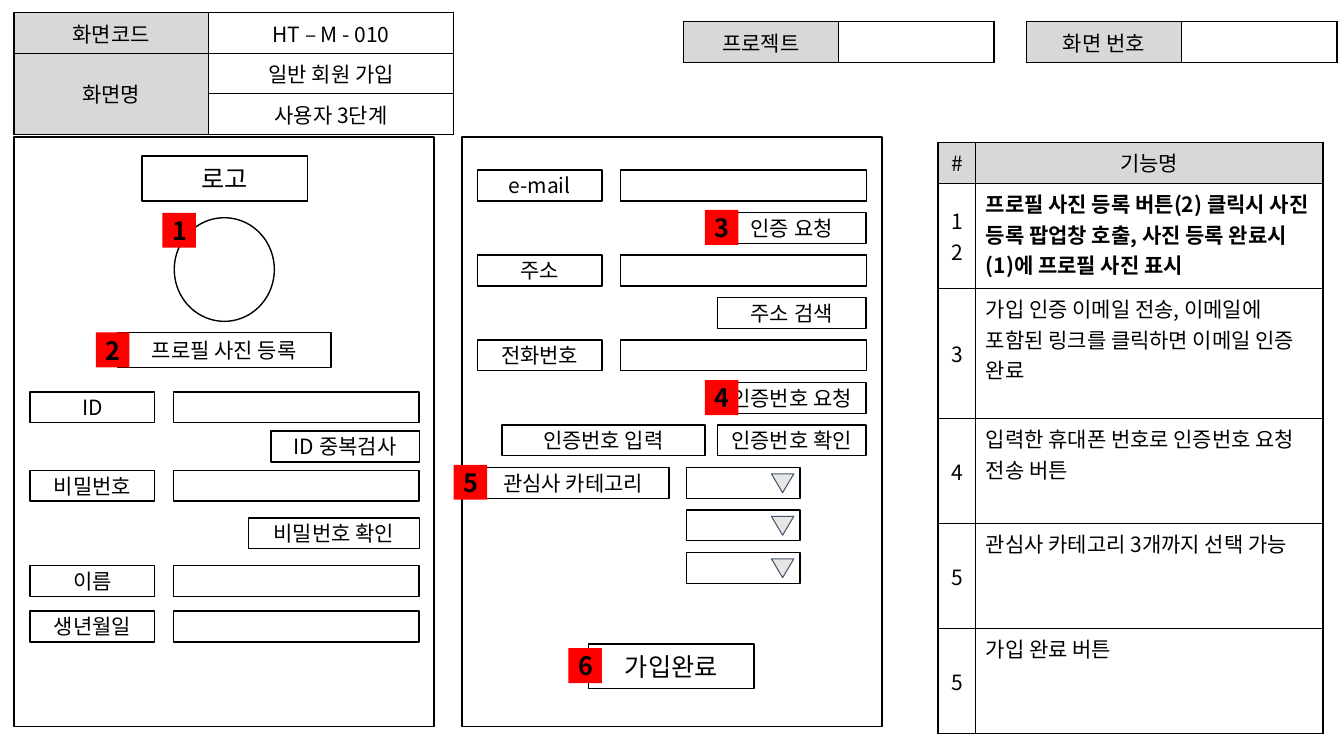
import pptx
import pptx.dml.color
import pptx.enum.shapes
import pptx.enum.text
import pptx.oxml.ns
import pptx.util
import lxml.etree

Pt = pptx.util.Pt
RGBColor = pptx.dml.color.RGBColor
Shape = pptx.enum.shapes.MSO_SHAPE
Align = pptx.enum.text.PP_ALIGN
Anchor = pptx.enum.text.MSO_ANCHOR
qn = pptx.oxml.ns.qn

BLACK = RGBColor(0x00, 0x00, 0x00)
WHITE = RGBColor(0xFF, 0xFF, 0xFF)
GRAY = RGBColor(0xD8, 0xD8, 0xD8)
RED = RGBColor(0xFF, 0x00, 0x00)
ARROW_FILL = RGBColor(0xE7, 0xE6, 0xE6)
ARROW_LINE = RGBColor(0x44, 0x54, 0x6A)


class Wireframe:
    """Style and current page of a screen specification."""

    font = "Noto Sans CJK KR"
    body, title = 15, 18
    row_height = 22

    def __init__(self, page):
        self.page = page

    def add_text(self, frame, text, size=body, bold=False, align=Align.CENTER):
        for index, line in enumerate(text.split("\n")):
            para = frame.add_paragraph() if index else frame.paragraphs[0]
            para.alignment = align
            span = para.add_run()
            span.text = line
            style = {"name": self.font, "size": Pt(size), "bold": bold}
            for name, value in style.items():
                setattr(span.font, name, value)
            span.font.color.rgb = BLACK
            east_asian = lxml.etree.SubElement(span.font._element, qn("a:ea"))
            east_asian.set("typeface", self.font)

    def box(self, left, top, width, height=row_height, text="", size=body, bold=False,
            kind=Shape.RECTANGLE, fill=WHITE, line=BLACK, weight=1):
        shape = self.page.shapes.add_shape(kind, Pt(left), Pt(top), Pt(width), Pt(height))
        shape.shadow.inherit = False
        shape.fill.solid()
        shape.fill.fore_color.rgb = fill
        if line is None:
            shape.line.fill.background()
        else:
            shape.line.color.rgb = line
            shape.line.width = Pt(weight)
        if text:
            shape.text_frame.vertical_anchor = Anchor.MIDDLE
            self.add_text(shape.text_frame, text, size, bold)
        return shape

    def badge(self, number, left, top):
        self.box(left, top, 24, 25, number, self.title, True, fill=RED, line=None)

    def select(self, left, top):
        self.box(left, top, 81)
        arrow = self.box(551, top + 4.5, 16, 13.5, kind=Shape.ISOSCELES_TRIANGLE,
                         fill=ARROW_FILL, line=ARROW_LINE, weight=0.75)
        arrow.rotation = 180

    def field(self, left, top, label):
        self.box(left, top, 89, text=label)
        self.box(left + 102.3, top, 175.5)

    def border(self, cell):
        properties = cell._tc.get_or_add_tcPr()
        for side in ("a:lnL", "a:lnR", "a:lnT", "a:lnB"):
            line = lxml.etree.SubElement(properties, qn(side), w=str(Pt(1)))
            fill = lxml.etree.SubElement(line, qn("a:solidFill"))
            lxml.etree.SubElement(fill, qn("a:srgbClr"), val=str(BLACK))

    def table(self, left, top, widths, heights, texts, is_header,
              is_note=lambda row, column: False, bold_row=None):
        table = self.page.shapes.add_table(
            len(heights), len(widths), Pt(left), Pt(top),
            Pt(sum(widths)), Pt(sum(heights))).table
        table.first_row = table.horz_banding = False
        for column, width in zip(table.columns, widths):
            column.width = Pt(width)
        for row, height in zip(table.rows, heights):
            row.height = Pt(height)
        for r, line in enumerate(texts):
            for c, text in enumerate(line):
                cell = table.cell(r, c)
                self.border(cell)
                cell.fill.solid()
                cell.fill.fore_color.rgb = GRAY if is_header(r, c) else WHITE
                note = is_note(r, c)
                cell.vertical_anchor = Anchor.TOP if note else Anchor.MIDDLE
                if text:
                    self.add_text(cell.text_frame, text, bold=note and r == bold_row,
                                  align=Align.LEFT if note else Align.CENTER)
        return table


def main():
    deck = pptx.Presentation()
    deck.slide_width, deck.slide_height = Pt(960), Pt(540)
    frame = Wireframe(deck.slides.add_slide(deck.slide_layouts[6]))

    # Screen code, project and screen number
    def first_column(row, column):
        return column == 0

    codes = [("화면코드", "HT – M - 010"), ("화면명", "일반 회원 가입"), ("", "사용자 3단계")]
    code_table = frame.table(10, 9, (139, 175), (29,) * 3, codes, first_column)
    code_table.cell(1, 0).merge(code_table.cell(2, 0))
    for left, label in ((488, "프로젝트"), (733, "화면 번호")):
        frame.table(left, 15.5, (111, 111), (29,), [(label, "")], first_column)

    # Function list
    functions = [
        ("#", "기능명"),
        ("1\n2", "프로필 사진 등록 버튼(2) 클릭시 사진 등록 팝업창 호출, 사진 등록 완료시 (1)에 프로필 사진 표시"),
        ("3", "가입 인증 이메일 전송, 이메일에 포함된 링크를 클릭하면 이메일 인증 완료"),
        ("4", "입력한 휴대폰 번호로 인증번호 요청 전송 버튼"),
        ("5", "관심사 카테고리 3개까지 선택 가능"),
        ("5", "가입 완료 버튼"),
    ]
    frame.table(670, 101.5, (27, 248), (29.5, 75, 93, 75, 75, 75), functions,
                lambda row, column: row == 0,
                lambda row, column: row > 0 and column == 1, bold_row=1)

    # Screen panels
    for left in (10, 330):
        frame.box(left, 98, 300, 421)

    # Left panel: profile and account
    frame.box(101.5, 111.5, 118, 32, "로고", frame.title)
    frame.box(84, 237.5, 152.5, 25, "프로필 사진 등록")
    frame.box(124.5, 155.5, 71.5, 74, kind=Shape.OVAL)
    for top, label in ((280, "ID"), (336, "비밀번호"), (404, "이름"), (436.5, "생년월일")):
        frame.field(21.5, top, label)
    for top, width, label in ((308, 106, "ID 중복검사"), (370, 122, "비밀번호 확인")):
        frame.box(299.5 - width, top, width, text=label)

    # Right panel: contact details on an even row grid
    tops = [121.5 + 30.35 * row for row in range(10)]
    for row, label in ((0, "e-mail"), (2, "주소"), (4, "전화번호")):
        frame.field(341, tops[row], label)
    for row, label in ((1, "인증 요청"), (3, "주소 검색"), (5, "인증번호 요청"), (6, "인증번호 확인")):
        frame.box(512.5, tops[row], 106, text=label)
    frame.box(358.5, tops[6], 145, text="인증번호 입력")
    frame.box(341, tops[7], 137, text="관심사 카테고리")
    for top in tops[7:]:
        frame.select(490.5, top)
    frame.box(420.5, 460, 118, 32, "가입완료", frame.title)

    # Numbered badges
    badges = ((116, 152), (68.5, 237.5), (503.5, 150), (503.5, 271.5), (324, 332), (406, 463))
    for number, (left, top) in enumerate(badges, 1):
        frame.badge(str(number), left, top)

    deck.save("out.pptx")


if __name__ == "__main__":
    main()
